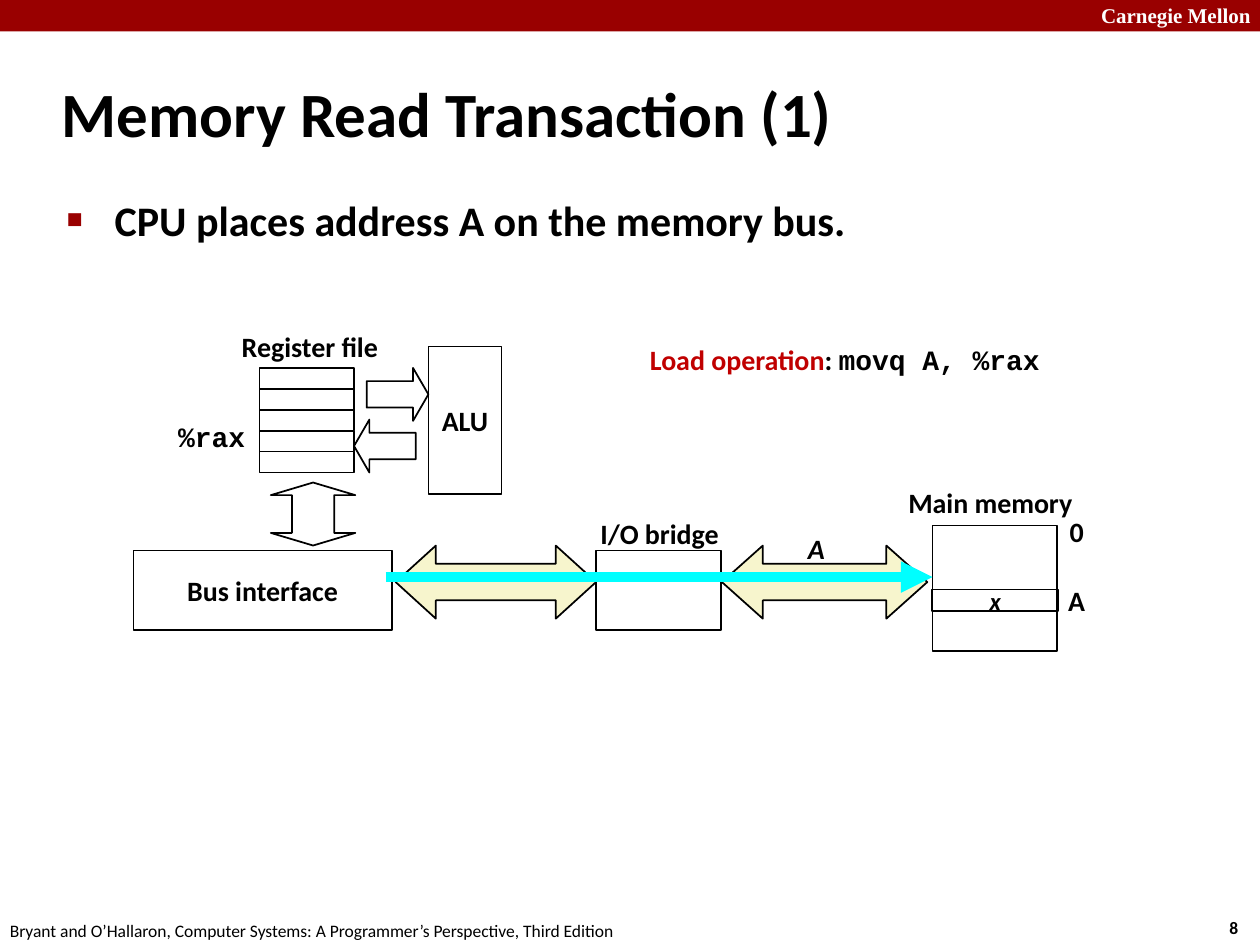
"""Build the slide on the first step of a memory read transaction."""
from lxml import etree
from pptx import Presentation
from pptx.dml.color import RGBColor
from pptx.enum.shapes import MSO_CONNECTOR, MSO_SHAPE
from pptx.enum.text import MSO_ANCHOR, MSO_AUTO_SIZE, PP_ALIGN
from pptx.oxml.ns import qn
from pptx.util import Inches, Pt

BLACK = RGBColor(0x00, 0x00, 0x00)
WHITE = RGBColor(0xFF, 0xFF, 0xFF)
CRIMSON = RGBColor(0x99, 0x00, 0x00)
RED = RGBColor(0xC0, 0x00, 0x00)
CREAM = RGBColor(0xF7, 0xF5, 0xCD)
CYAN = RGBColor(0x00, 0xFF, 0xFF)

SANS, MONO, SERIF = "Calibri", "Courier New", "Times New Roman"
LABEL = {"name": SANS, "size": Pt(16), "bold": True, "color": BLACK}
CODE = LABEL | {"name": MONO}
VARIABLE = LABEL | {"italic": True}
CELL = VARIABLE | {"size": Pt(14)}
FOOTER = LABEL | {"size": Pt(10), "bold": False}
PAGE_NUMBER = LABEL | {"size": Pt(10)}
BANNER = LABEL | {"name": SERIF, "size": Pt(12), "color": WHITE}
TITLE = LABEL | {"size": Pt(36)}
BULLET = LABEL | {"size": Pt(24)}

TITLE_TEXT = "Memory Read Transaction (1)"
BULLET_TEXT = "CPU places address A on the memory bus."
TITLE_AREA = (0.39, 0.48, 8.3, 0.83)
BODY_AREA = (0.43, 1.49, 8.64, 5.44)
BANNER_AREA = (0, 0, 10, 0.25)

REGISTER_COUNT = 5
REGISTER_LEFT, REGISTER_TOP, REGISTER_WIDTH = 2.06, 2.92, 0.75
REGISTER_HEIGHT = 0.83 / REGISTER_COUNT
REGISTERS = [
    (MSO_SHAPE.RECTANGLE,
     (REGISTER_LEFT, REGISTER_TOP + row * REGISTER_HEIGHT, REGISTER_WIDTH, REGISTER_HEIGHT),
     {}, None, "", LABEL)
    for row in range(REGISTER_COUNT)
]

HARDWARE = [
    (MSO_SHAPE.RECTANGLE, (7.4, 4.17, 0.99, 1), {}, None, "", LABEL),
    (MSO_SHAPE.LEFT_RIGHT_ARROW, (5.73, 4.33, 1.63, 0.58),
     {"adj1": 0.5, "adj2": 0.56}, CREAM, "", LABEL),
    (MSO_SHAPE.RECTANGLE, (4.73, 4.37, 0.99, 0.63), {}, None, "", LABEL),
    (MSO_SHAPE.LEFT_RIGHT_ARROW, (3.14, 4.33, 1.59, 0.58),
     {"adj1": 0.5, "adj2": 0.55}, CREAM, "", LABEL),
    *REGISTERS,
    (MSO_SHAPE.RIGHT_ARROW, (2.91, 2.92, 0.49, 0.42),
     {"adj1": 0.5, "adj2": 0.29}, None, "", LABEL),
    (MSO_SHAPE.LEFT_ARROW, (2.81, 3.33, 0.49, 0.42),
     {"adj1": 0.5, "adj2": 0.29}, None, "", LABEL),
    (MSO_SHAPE.RECTANGLE, (3.4, 2.75, 0.58, 1.17), {}, None, "ALU", LABEL),
    (MSO_SHAPE.UP_DOWN_ARROW, (2.15, 3.83, 0.67, 0.5),
     {"adj1": 0.5, "adj2": 0.2}, None, "", LABEL),
    (MSO_SHAPE.RECTANGLE, (1.06, 4.37, 2.05, 0.63), {}, WHITE, "Bus interface", LABEL),
]
MEMORY_CELL = (MSO_SHAPE.RECTANGLE, (7.4, 4.68, 1, 0.17), {}, None, "x", CELL)
ADDRESS_START, ADDRESS_END = (3.06, 4.58), (7.4, 4.58)

CENTERED = (PP_ALIGN.CENTER, MSO_ANCHOR.MIDDLE)
LEFT_MIDDLE = (PP_ALIGN.LEFT, MSO_ANCHOR.MIDDLE)
LEFT_TOP = (PP_ALIGN.LEFT, MSO_ANCHOR.TOP)
TEXTS = [
    ((8.64, -0.03, 1.43, 0.3), LEFT_TOP, [("Carnegie Mellon", BANNER)]),
    ((9.66, 7.23, 0.37, 0.27), LEFT_TOP, [("8", PAGE_NUMBER)]),
    ((-0.02, 7.25, 5.08, 0.27), LEFT_TOP,
     [("Bryant and O’Hallaron, Computer Systems: A Programmer’s Perspective, Third Edition",
       FOOTER)]),
    ((1.81, 2.56, 1.3, 0.37), CENTERED, [("Register file", LABEL)]),
    ((6.31, 4.17, 0.34, 0.37), CENTERED, [("A", VARIABLE)]),
    ((8.39, 4.03, 0.32, 0.37), LEFT_MIDDLE, [("0", LABEL)]),
    ((8.38, 4.58, 0.34, 0.37), LEFT_MIDDLE, [("A", LABEL)]),
    ((7.1, 3.8, 1.52, 0.37), CENTERED, [("Main memory", LABEL)]),
    ((4.66, 4.05, 1.15, 0.37), CENTERED, [("I/O bridge", LABEL)]),
    ((1.31, 3.28, 0.74, 0.37), CENTERED, [("%rax", CODE)]),
    ((5.06, 2.67, 3.34, 0.64), LEFT_TOP,
     [("Load operation", LABEL | {"color": RED}), (": ", LABEL), ("movq A, %rax", CODE)]),
]


def inches(values):
    return [Inches(value) for value in values]


def write(box, spans, placing, wrap=False):
    frame = box.text_frame
    frame.auto_size = MSO_AUTO_SIZE.NONE
    frame.word_wrap = wrap
    para = frame.paragraphs[0]
    para.alignment, frame.vertical_anchor = placing
    para.space_before = Pt(0)
    for text, style in spans:
        span = para.add_run()
        span.text = text
        for name, value in style.items():
            if name == "color":
                span.font.color.rgb = value
            else:
                setattr(span.font, name, value)
    return para


def fill_placeholder(box, area, text, style, anchor, indent, hanging):
    box.left, box.top, box.width, box.height = inches(area)
    para = write(box, [(text, style)], (PP_ALIGN.LEFT, anchor), wrap=True)
    properties = para._p.get_or_add_pPr()
    properties.set("marL", str(Inches(indent)))
    properties.set("indent", str(Inches(-hanging)))
    return properties


def add_square_bullet(properties):
    color = etree.SubElement(properties, qn("a:buClr"))
    etree.SubElement(color, qn("a:srgbClr"), val=str(CRIMSON))
    etree.SubElement(properties, qn("a:buSzPct"), val="40000")
    etree.SubElement(properties, qn("a:buFont"), typeface=SANS)
    etree.SubElement(properties, qn("a:buChar"), char="■")


def adjust(part, adjustments):
    guides = part._element.spPr.find(qn("a:prstGeom")).get_or_add_avLst()
    for guide in list(guides):
        guides.remove(guide)
    for name, value in adjustments.items():
        etree.SubElement(guides, qn("a:gd"), name=name, fmla=f"val {round(value * 100000)}")


def add_part(page, kind, area, adjustments, fill, text, style):
    part = page.shapes.add_shape(kind, *inches(area))
    part.shadow.inherit = False
    adjust(part, adjustments)
    if fill is None:
        part.fill.background()
    else:
        part.fill.solid()
        part.fill.fore_color.rgb = fill
    part.line.color.rgb = BLACK
    part.line.width = Pt(1)
    if text:
        write(part, [(text, style)], CENTERED)
    return part


def add_address_arrow(page):
    arrow = page.shapes.add_connector(
        MSO_CONNECTOR.STRAIGHT, *inches(ADDRESS_START + ADDRESS_END))
    arrow.line.color.rgb = CYAN
    arrow.line.width = Pt(6)
    etree.SubElement(arrow.line._get_or_add_ln(), qn("a:tailEnd"), type="triangle")
    etree.SubElement(arrow._element.spPr, qn("a:effectLst"))


def main():
    deck = Presentation()
    deck.slide_width, deck.slide_height = Inches(10), Inches(7.5)
    page = deck.slides.add_slide(deck.slide_layouts[1])
    fill_placeholder(page.shapes.title, TITLE_AREA, TITLE_TEXT, TITLE,
                     MSO_ANCHOR.MIDDLE, 0.13, 0.13)
    add_square_bullet(fill_placeholder(page.placeholders[1], BODY_AREA, BULLET_TEXT, BULLET,
                                       MSO_ANCHOR.TOP, 0.38, 0.38))
    banner = add_part(page, MSO_SHAPE.RECTANGLE, BANNER_AREA, {}, CRIMSON, "", LABEL)
    banner.line.fill.background()
    for part in HARDWARE:
        add_part(page, *part)
    add_address_arrow(page)
    add_part(page, *MEMORY_CELL)
    for area, placing, spans in TEXTS:
        write(page.shapes.add_textbox(*inches(area)), spans, placing)
    deck.save("out.pptx")


if __name__ == "__main__":
    main()
